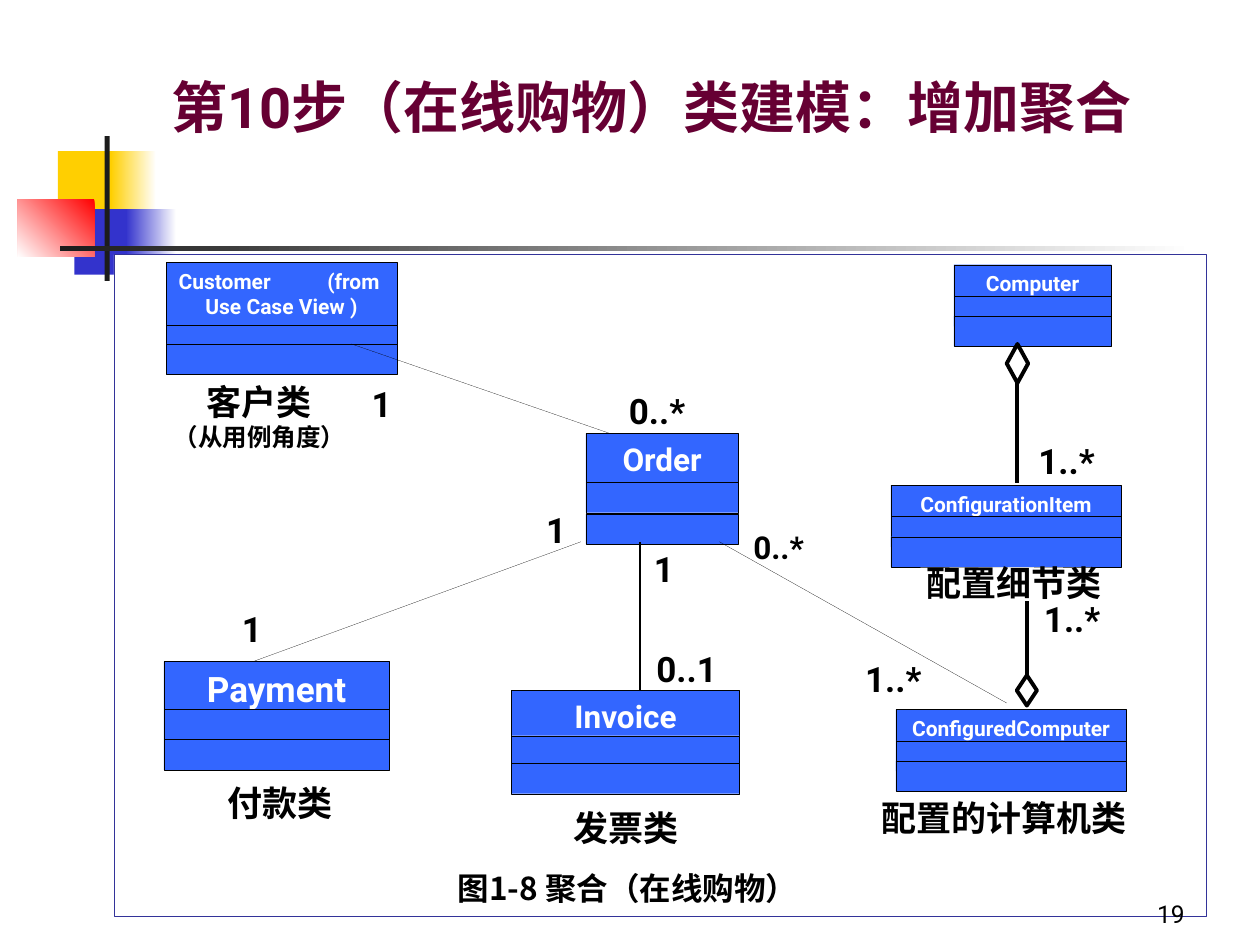
from lxml import etree
from pptx import Presentation
from pptx.dml.color import RGBColor
from pptx.enum.shapes import MSO_CONNECTOR, MSO_SHAPE
from pptx.enum.text import MSO_ANCHOR, PP_ALIGN
from pptx.oxml.ns import qn
from pptx.util import Inches, Pt

RECTANGLE, DIAMOND = MSO_SHAPE.RECTANGLE, MSO_SHAPE.DIAMOND
STRAIGHT = MSO_CONNECTOR.STRAIGHT
LEFT, CENTER, RIGHT = PP_ALIGN.LEFT, PP_ALIGN.CENTER, PP_ALIGN.RIGHT
TOP, BOTTOM = MSO_ANCHOR.TOP, MSO_ANCHOR.BOTTOM

BLACK = RGBColor(0x00, 0x00, 0x00)
WHITE = RGBColor(0xFF, 0xFF, 0xFF)
CLASS_BLUE = RGBColor(0x33, 0x66, 0xFF)
FRAME_BLUE = RGBColor(0x33, 0x33, 0x99)
PLUM = RGBColor(0x66, 0x00, 0x33)
YELLOW = RGBColor(0xFF, 0xCF, 0x01)
INDIGO = RGBColor(0x33, 0x33, 0xCC)
RED = RGBColor(0xFF, 0x00, 0x00)
CHARCOAL = RGBColor(0x1C, 0x1C, 0x1C)

LATIN, CHINESE = "Roboto", "Noto Sans CJK SC"
HAIRLINE, MEDIUM, THICK = 0.11, 1.5, 2.25
COLUMNS, ROWS = 100, 75
COMPARTMENT = 2.4

# name, size, column, columns wide, rows where the three compartments start
CLASSES = [
    ("Customer\t(from\nUse Case View )", 12, 13.2, 18.3, (20.8, 25.8, 27.3)),
    ("ConfiguredComputer", 12, 71.1, 18.3, (56.3, 58.8, 60.4)),
    ("Order", 18, 46.5, 12.1, (34.4, 38.3, 40.8)),
    ("Payment", 20, 13, 17.9, (52.5, 56.3, 58.7)),
    ("Invoice", 18, 40.6, 18.1, (54.8, 58.4, 60.6)),
    ("ConfigurationItem", 12, 70.7, 18.3, (38.5, 41, 42.6)),
    ("Computer", 12, 75.7, 12.5, (21, 23.5, 25.1)),
]

# text, size, column, row, columns wide
CAPTIONS = [
    ("配置的计算机类", 20, 66.7, 62.7, 26),
    ("付款类", 20, 15.2, 61.5, 14),
    ("发票类", 20, 42.7, 63.5, 14),
    ("配置细节类", 20, 70.5, 44.1, 20),
]
MULTIPLICITIES = [
    ("1", 20, 40.6, 39.9, 7.1),
    ("1", 20, 16.1, 47.7, 7.8),
    ("1", 20, 24.9, 29.9, 10.8),
    ("0..*", 20, 46.9, 30.4, 10.5),
    ("1..*", 20, 63.4, 51.7, 15),
    ("0..*", 18, 57.1, 41.4, 9.4),
    ("1", 20, 47.6, 43, 10.2),
    ("0..1", 20, 50.8, 50.9, 7.4),
    ("1..*", 20, 81.1, 46.9, 8),
    ("1..*", 20, 80.7, 34.4, 7.9),
]

ASSOCIATIONS = [
    ((46.1, 43), (20.1, 52.5), HAIRLINE),
    ((48.4, 34.4), (27.9, 27.3), HAIRLINE),
    ((57.1, 43), (79.9, 55.8), HAIRLINE),
    ((50.8, 43), (50.8, 54.8), MEDIUM),
]

# diamond area, then the rows where its stem starts and ends
AGGREGATIONS = [
    ((80.7, 53.6, 1.6, 2.4), 53.6, 47.7),
    ((79.9, 27.3, 1.7, 3.1), 30.4, 38.3),
]

# area, colour, gradient start colour, angle
ORNAMENTS = [
    ((4.6, 12, 4.8, 5.2), YELLOW, None, 0),
    ((8.8, 12, 3.6, 5.2), YELLOW, WHITE, 180),
    ((5.9, 16.6, 4.6, 5.2), INDIGO, None, 0),
    ((10, 16.6, 4, 5.2), INDIGO, WHITE, 180),
    ((1.4, 15.8, 6.1, 4.6), WHITE, RED, 225),
    ((8.3, 10.8, 0.4, 11.5), CHARCOAL, None, 0),
    ((4.8, 19.5, 90, 0.4), CHARCOAL, WHITE, 180),
]


def grid(*cells):
    """Turn alternating column and row counts into lengths."""
    units = (Inches(10) / COLUMNS, Inches(7.5) / ROWS)
    return [round(cell * units[i % 2]) for i, cell in enumerate(cells)]


def add_block(page, area, fill, line=None, width=HAIRLINE, kind=RECTANGLE):
    block = page.shapes.add_shape(kind, *grid(*area))
    block.shadow.inherit = False
    block.fill.solid()
    block.fill.fore_color.rgb = fill
    if line is None:
        block.line.fill.background()
    else:
        block.line.color.rgb = line
        block.line.width = Pt(width)
    return block


def add_ornament(page, area, color, start, angle):
    block = add_block(page, area, color)
    if start is not None:
        block.fill.gradient()
        block.fill.gradient_angle = angle
        for stop, position, shade in zip(block.fill.gradient_stops, (0, 1), (start, color)):
            stop.position = position
            stop.color.rgb = shade


def write(box, text, size, color=BLACK, align=CENTER, anchor=TOP, bold=True, font=LATIN):
    frame = box.text_frame
    frame.word_wrap = True
    frame.vertical_anchor = anchor
    frame.text = text
    for para in frame.paragraphs:
        para.alignment = align
        para.font.name = font
        para.font.size = Pt(size)
        para.font.bold = bold
        para.font.color.rgb = color
    return frame


def add_text(page, area, text, size, **style):
    return write(page.shapes.add_textbox(*grid(*area)), text, size, **style)


def add_label(page, text, size, column, row, columns, font=LATIN):
    add_text(page, (column, row, columns, size * 0.2 + 0.4), text, size, font=font)


def add_class(page, name, size, column, columns, rows):
    """Draw a class box; a tab in its name splits the first line in two."""
    top, *compartments = rows
    header = add_block(page, (column, top, columns, compartments[0] - top), CLASS_BLUE, BLACK)
    frame = write(header, name, size, WHITE)
    if "\t" in name:
        para = frame.paragraphs[0]
        para.alignment = LEFT
        stops = etree.Element(qn("a:tabLst"))
        etree.SubElement(stops, qn("a:tab"), pos=str(Inches(1.18)), algn="l")
        para._p.get_or_add_pPr().insert(0, stops)
    for row in compartments:
        add_block(page, (column, row, columns, COMPARTMENT), CLASS_BLUE, BLACK)


def add_line(page, start, end, width):
    line = page.shapes.add_connector(STRAIGHT, *grid(*start, *end))
    line.line.color.rgb = BLACK
    line.line.width = Pt(width)
    etree.SubElement(line._element.spPr, qn("a:effectLst"))


def add_aggregation(page, diamond, start, end):
    add_block(page, diamond, WHITE, BLACK, THICK, DIAMOND)
    middle = diamond[0] + diamond[2] / 2
    add_line(page, (middle, start), (middle, end), THICK)


def add_customer_caption(page):
    frame = add_text(page, (12.1, 29.7, 20, 6.7), "客户类\n（从用例角度）", 20)
    heading, note = frame.paragraphs
    heading._p.get_or_add_pPr().set("marR", str(Inches(0.3)))
    note.font.size = Pt(14)


def main():
    deck = Presentation()
    deck.slide_width, deck.slide_height = Inches(10), Inches(7.5)
    page = deck.slides.add_slide(deck.slide_layouts[6])

    for ornament in ORNAMENTS:
        add_ornament(page, *ornament)
    add_text(page, (12.6, 5.3, 85.2, 7), "第10步（在线购物）类建模：增加聚合", 32,
             color=PLUM, align=LEFT)
    add_block(page, (9.05, 20.2, 86.7, 52.5), WHITE, FRAME_BLUE)

    for item in CLASSES:
        add_class(page, *item)
    for association in ASSOCIATIONS:
        add_line(page, *association)
    for aggregation in AGGREGATIONS:
        add_aggregation(page, *aggregation)
    add_customer_caption(page)
    for label in CAPTIONS + MULTIPLICITIES:
        add_label(page, *label)
    add_label(page, "图1-8 聚合（在线购物）", 18, 31.8, 68.5, 36, CHINESE)
    add_text(page, (74.2, 69.2, 20.8, 5), "19", 14, align=RIGHT, anchor=BOTTOM, bold=False)

    deck.save("out.pptx")


if __name__ == "__main__":
    main()
